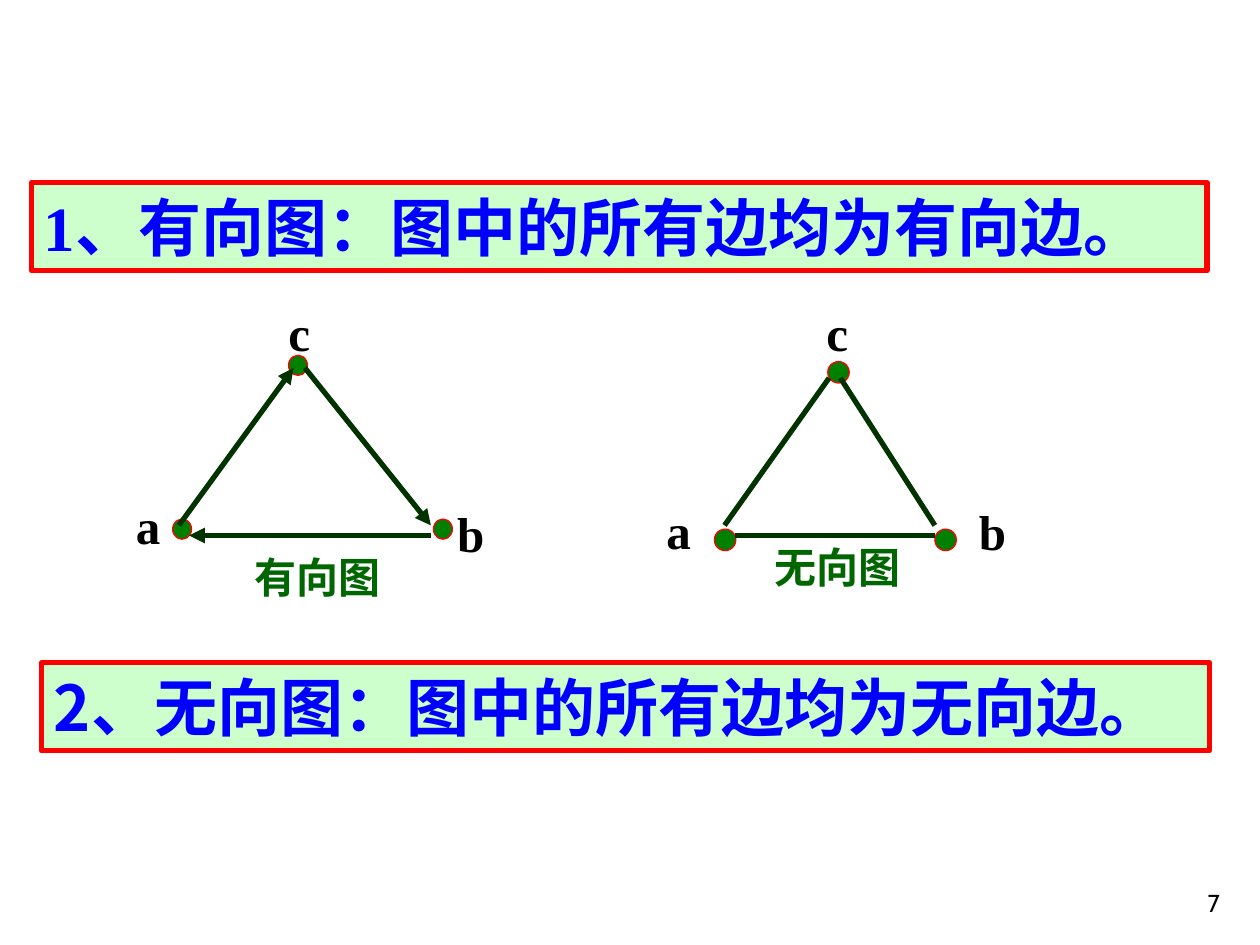
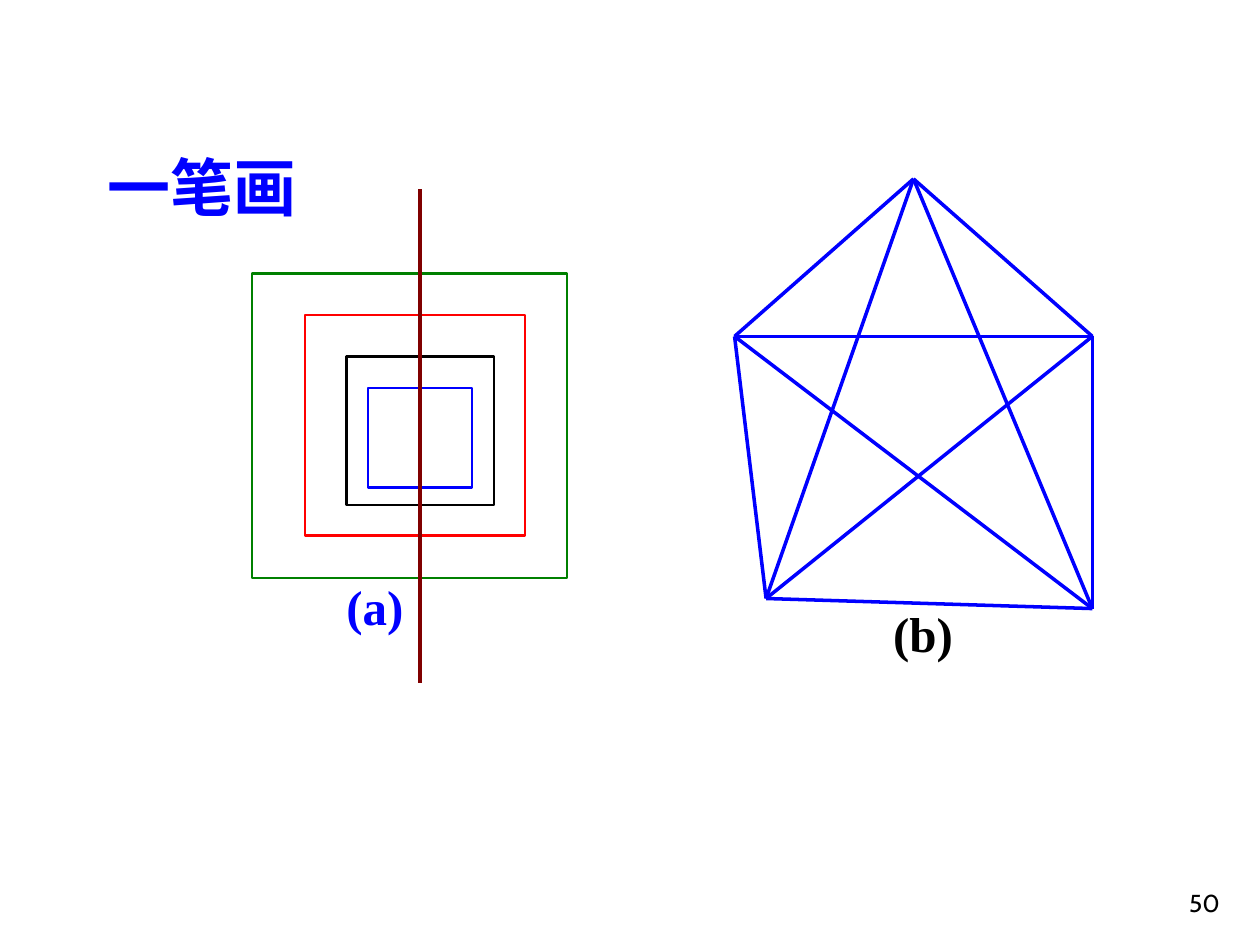
from dataclasses import dataclass
from itertools import combinations

from lxml import etree
from pptx import Presentation
from pptx.dml.color import RGBColor
from pptx.enum.shapes import MSO_CONNECTOR, MSO_SHAPE
from pptx.enum.text import MSO_ANCHOR, MSO_AUTO_SIZE, PP_ALIGN
from pptx.oxml.ns import qn
from pptx.util import Inches, Pt

RECTANGLE, OVAL = MSO_SHAPE.RECTANGLE, MSO_SHAPE.OVAL
STRAIGHT = MSO_CONNECTOR.STRAIGHT
TOP, BOTTOM = MSO_ANCHOR.TOP, MSO_ANCHOR.BOTTOM
LEFT, RIGHT = PP_ALIGN.LEFT, PP_ALIGN.RIGHT
NO_AUTOFIT = MSO_AUTO_SIZE.NONE

# Shared look
SERIF, SANS, CJK = "Times New Roman", "Cabin", "Noto Sans CJK SC"
BLUE, RED, BLACK, MAROON = "0000FF", "FF0000", "000000", "800000"
GREEN, EDGE_GREEN, CAPTION_GREEN, PALE_GREEN = "008000", "003300", "006600", "CCFFCC"
TITLE_ONLY, BLANK = 5, 6

Point = tuple[float, float]
Box = tuple[float, float, float, float]


@dataclass(frozen=True)
class Run:
    text: str
    size: float
    font: str = SERIF
    color: str = BLACK
    bold: bool = True


@dataclass(frozen=True)
class Label:
    box: Box
    run: Run


@dataclass(frozen=True)
class Definition:
    box: Box
    runs: tuple[Run, ...]


@dataclass(frozen=True)
class Edge:
    start: Point
    end: Point


@dataclass(frozen=True)
class Graph:
    labels: tuple[Label, ...]
    nodes: tuple[Point, ...]
    node_size: Point
    edges: tuple[Edge, ...]
    directed: bool


@dataclass(frozen=True)
class Square:
    box: Box
    color: str


def rgb(color: str) -> RGBColor:
    return RGBColor.from_string(color)


def inches(values) -> list:
    return [Inches(value) for value in values]


def write(frame, runs: tuple[Run, ...], wrap: bool = True, align=LEFT, anchor=TOP) -> None:
    frame.word_wrap = wrap
    frame.auto_size = NO_AUTOFIT
    frame.vertical_anchor = anchor
    paragraph = frame.paragraphs[0]
    paragraph.alignment = align
    for item in runs:
        run = paragraph.add_run()
        run.text = item.text
        font = run.font
        font.size, font.bold, font.name = Pt(item.size), item.bold, item.font
        font.color.rgb = rgb(item.color)
        east_asian = etree.SubElement(run._r.get_or_add_rPr(), qn("a:ea"))
        east_asian.set("typeface", CJK)


def add_label(slide, label: Label, wrap: bool = False, align=LEFT, anchor=TOP) -> None:
    text_box = slide.shapes.add_textbox(*inches(label.box))
    write(text_box.text_frame, (label.run,), wrap, align, anchor)


def add_outlined(slide, kind, box: Box, color: str, width: float, fill: str | None = None):
    shape = slide.shapes.add_shape(kind, *inches(box))
    shape.shadow.inherit = False
    shape.line.color.rgb = rgb(color)
    shape.line.width = Pt(width)
    if fill:
        shape.fill.solid()
        shape.fill.fore_color.rgb = rgb(fill)
    else:
        shape.fill.background()
    return shape


def add_edge(slide, edge: Edge, color: str, width: float, arrow: bool = False) -> None:
    connector = slide.shapes.add_connector(STRAIGHT, *inches(edge.start + edge.end))
    connector.line.color.rgb = rgb(color)
    connector.line.width = Pt(width)
    properties = connector._element.spPr
    if arrow:
        head = etree.SubElement(properties.find(qn("a:ln")), qn("a:tailEnd"))
        head.set("type", "triangle")
    etree.SubElement(properties, qn("a:effectLst"))


def add_definition(slide, definition: Definition) -> None:
    panel = add_outlined(slide, RECTANGLE, definition.box, RED, 3, PALE_GREEN)
    write(panel.text_frame, definition.runs)


def add_graph(slide, graph: Graph) -> None:
    for node in graph.nodes:
        add_outlined(slide, OVAL, node + graph.node_size, RED, 0.75, GREEN)
    for edge in graph.edges:
        add_edge(slide, edge, EDGE_GREEN, 3, graph.directed)
    for label in graph.labels:
        add_label(slide, label)


def add_page_number(slide, number: str) -> None:
    label = Label((7.7, 6.83, 2.08, 0.5), Run(number, 14, SANS, bold=False))
    add_label(slide, label, wrap=True, align=RIGHT, anchor=BOTTOM)


def vertex(name: str, left: float, top: float, width: float = 0.39) -> Label:
    return Label((left, top, width, 0.57), Run(name, 28))


def caption(text: str, left: float, top: float) -> Label:
    return Label((left, top, 1.2, 0.5), Run(text, 24, SANS, CAPTION_GREEN))


# Slide 1: directed and undirected graphs
DEFINITIONS = (
    Definition((0.25, 1.45, 9.33, 0.7), (
        Run("1、", 36, SERIF, BLUE),
        Run("有向图：图中的所有边均为有向边。", 36, CJK, BLUE),
    )),
    Definition((0.33, 5.26, 9.27, 0.7), (
        Run("2、无向图：图中的所有边均为无向边。", 36, CJK, BLUE),
    )),
)
DIRECTED = Graph(
    labels=(vertex("c", 2.19, 2.35, 0.37), vertex("a", 0.98, 3.88),
            vertex("b", 3.53, 3.95), caption("有向图", 1.92, 4.33)),
    nodes=((3.44, 4.12), (1.37, 4.12), (2.29, 2.82)),
    node_size=(0.15, 0.16),
    edges=(Edge((1.42, 4.17), (2.33, 2.92)), Edge((2.42, 2.92), (3.42, 4.17)),
           Edge((3.42, 4.25), (1.5, 4.25))),
    directed=True,
)
UNDIRECTED = Graph(
    labels=(vertex("c", 6.46, 2.35, 0.37), vertex("a", 5.19, 3.92),
            vertex("b", 7.67, 3.93, 0.41), caption("无向图", 6.05, 4.25)),
    nodes=((7.42, 4.2), (5.67, 4.2), (6.57, 2.87)),
    node_size=(0.17, 0.17),
    edges=(Edge((5.75, 4.17), (6.58, 3)), Edge((6.67, 3), (7.42, 4.17)),
           Edge((5.83, 4.25), (7.42, 4.25))),
    directed=False,
)

# Slide 2: figures to draw in one stroke
SQUARES = (
    Square((2, 2.17, 2.5, 2.42), GREEN),
    Square((2.42, 2.5, 1.75, 1.75), RED),
    Square((2.75, 2.83, 1.17, 1.18), BLACK),
    Square((2.92, 3.08, 0.83, 0.79), BLUE),
)
CROSSING_LINE = Edge((3.33, 1.5), (3.33, 5.42))
PENTAGON = ((7.25, 1.42), (8.67, 2.67), (8.67, 4.83), (6.08, 4.75), (5.83, 2.67))
FIGURE_LABELS = (
    Label((2.65, 4.53, 0.65, 0.57), Run("(a)", 28, color=BLUE)),
    Label((6.99, 4.74, 0.67, 0.57), Run("(b)", 28)),
)


def build_graph_kinds(deck) -> None:
    slide = deck.slides.add_slide(deck.slide_layouts[BLANK])
    for definition in DEFINITIONS:
        add_definition(slide, definition)
    for graph in (DIRECTED, UNDIRECTED):
        add_graph(slide, graph)
    add_page_number(slide, "7")


def build_one_stroke(deck) -> None:
    slide = deck.slides.add_slide(deck.slide_layouts[TITLE_ONLY])
    title = slide.shapes.title
    title.left, title.top, title.width, title.height = inches((0.75, 1.13, 3.5, 0.7))
    write(title.text_frame, (Run("一笔画", 36, SANS, BLUE),))

    # Nested squares cut by a vertical line
    for square in SQUARES:
        add_outlined(slide, RECTANGLE, square.box, square.color, 1.25)
    add_edge(slide, CROSSING_LINE, MAROON, 2.25)

    # Complete graph: every pair of corners is joined
    for start, end in combinations(PENTAGON, 2):
        add_edge(slide, Edge(start, end), BLUE, 2)

    for label in FIGURE_LABELS:
        add_label(slide, label)
    add_page_number(slide, "50")


def main() -> None:
    deck = Presentation()
    deck.slide_width, deck.slide_height = inches((10, 7.5))
    build_graph_kinds(deck)
    build_one_stroke(deck)
    deck.save("out.pptx")


if __name__ == "__main__":
    main()
